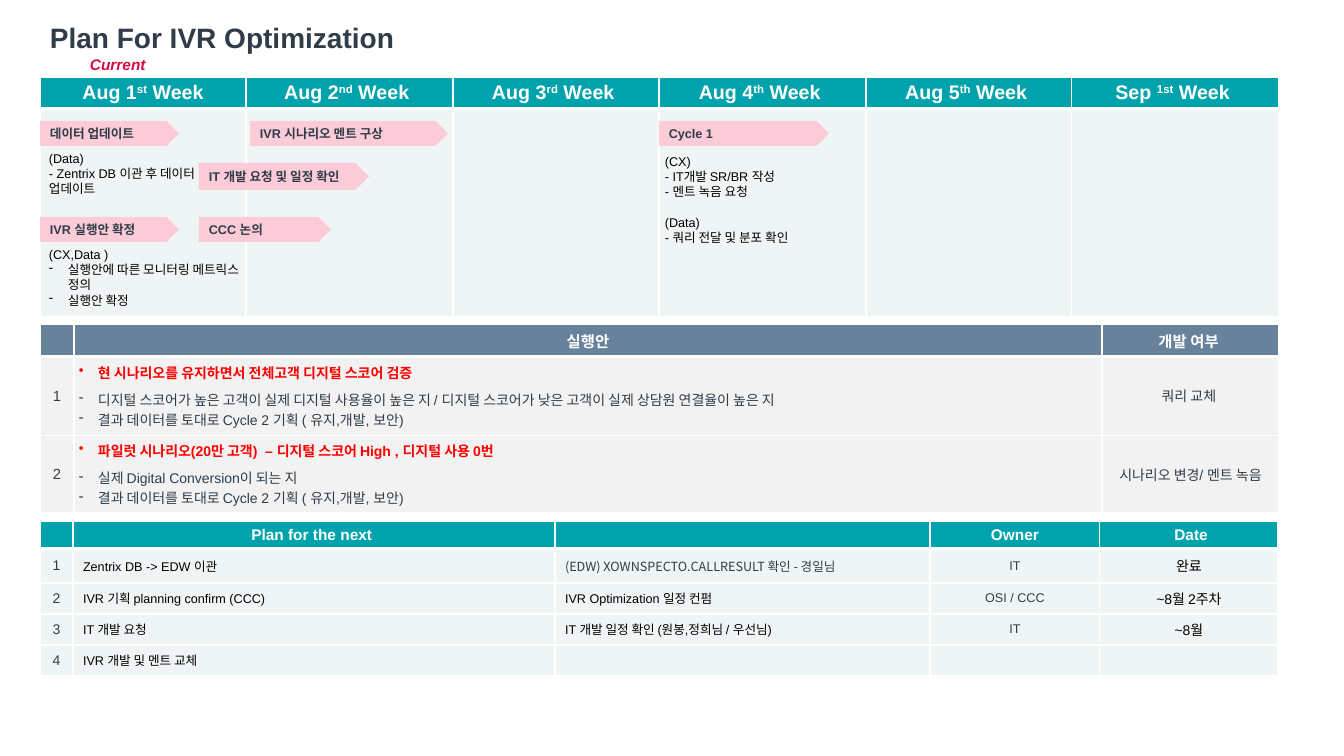
"""Build the IVR optimization plan slide: weekly timeline, action options and next steps."""
import pptx
import pptx.util
import pptx.dml.color
import pptx.enum.shapes
import pptx.enum.text
import pptx.oxml.ns
from lxml import etree

RGB = pptx.dml.color.RGBColor
TEAL = RGB(0x00, 0xA3, 0xAC)
SLATE = RGB(0x67, 0x82, 0x9A)
MIST = RGB(0xEF, 0xF4, 0xF5)
GREY = RGB(0xF2, 0xF2, 0xF2)
PINK = RGB(0xFB, 0xCB, 0xD8)
INK = RGB(0x30, 0x3D, 0x48)
CRIMSON = RGB(0xD3, 0x0C, 0x41)
RED = RGB(0xFF, 0x00, 0x00)
BLACK = RGB(0x00, 0x00, 0x00)
WHITE = RGB(0xFF, 0xFF, 0xFF)
PX = 914400 / 100.8
LEFT, CENTER, JUSTIFY = (pptx.enum.text.PP_ALIGN.LEFT, pptx.enum.text.PP_ALIGN.CENTER,
                         pptx.enum.text.PP_ALIGN.JUSTIFY)
MIDDLE = pptx.enum.text.MSO_ANCHOR.MIDDLE
qn = pptx.oxml.ns.qn


def write(tf, lines, size, color, bold=False, align=LEFT, font="Arial"):
    """Fill a text frame; a line is a string or a (bullet, text) pair."""
    for i, line in enumerate(lines):
        bullet, text = line if isinstance(line, tuple) else (None, line)
        p = tf.paragraphs[0] if i == 0 else tf.add_paragraph()
        p.alignment = align
        p.font.size = pptx.util.Pt(size)
        p.font.name = font
        p.font.bold = bold
        p.font.color.rgb = color
        if text:
            p.add_run().text = text
        if bullet:
            pPr = p._p.get_or_add_pPr()
            pPr.set("marL", str(round(19 * PX)))
            pPr.set("indent", str(round(-19 * PX)))
            bu = etree.Element(qn("a:buChar"), char=bullet)
            pPr.insert(list(pPr).index(pPr.find(qn("a:defRPr"))), bu)


def grid(top, widths, heights, head, body):
    """Add a table with white rules and a thick rule under its header."""
    frame = s.shapes.add_table(len(heights), len(widths), round(40 * PX), round(top * PX),
                               round(sum(widths) * PX), round(sum(heights) * PX))
    table = frame.table
    table.horz_banding = False
    for col, width in zip(table.columns, widths):
        col.width = round(width * PX)
    for i, (row, height) in enumerate(zip(table.rows, heights)):
        row.height = round(height * PX)
        for cell in row.cells:
            tcPr = cell._tc.get_or_add_tcPr()
            for side in "LRTB":
                points = 3 if i == 0 and side == "B" else 1
                ln = etree.SubElement(tcPr, qn("a:ln" + side), w=str(12700 * points))
                fill = etree.SubElement(ln, qn("a:solidFill"))
                etree.SubElement(fill, qn("a:srgbClr"), val=str(WHITE))
            cell.fill.solid()
            cell.fill.fore_color.rgb = body if i else head
            cell.vertical_anchor = MIDDLE
    return table


prs = pptx.Presentation()
prs.slide_width, prs.slide_height = round(1344 * PX), round(756 * PX)
s = prs.slides.add_slide(prs.slide_layouts[6])

weeks = [("Aug 1", "st", " Week"), ("Aug 2", "nd", " Week "), ("Aug 3", "rd", " Week "),
         ("Aug 4", "th", " Week "), ("Aug 5", "th", " Week "), ("Sep ", "1st", " Week ")]
timeline = grid(77, [206, 207] * 3, [31, 207], TEAL, MIST)
for c, (month, ordinal, week) in enumerate(weeks):
    tf = timeline.cell(0, c).text_frame
    write(tf, [month], 14, WHITE, True, CENTER)
    p = tf.paragraphs[0]
    r = p.add_run()
    r.text = ordinal
    r._r.get_or_add_rPr().set("baseline", "30000")
    p.add_run().text = week

options = grid(324, [34, 1028, 177], [31, 79, 74], SLATE, GREY)
write(options.cell(0, 0).text_frame, [""], 11, WHITE, True, CENTER)
write(options.cell(0, 1).text_frame, ["실행안"], 11, WHITE, True, CENTER)
write(options.cell(0, 2).text_frame, ["개발 여부 "], 11, WHITE, True, CENTER)
follow_up = "결과 데이터를 토대로 Cycle 2 기획 ( 유지,개발, 보안)"
option_rows = [
    ("현 시나리오를 유지하면서 전체고객 디지털 스코어 검증",
     "디지털 스코어가 높은 고객이 실제 디지털 사용율이 높은 지 / 디지털 스코어가 낮은 고객이 실제 상담원 연결율이 높은 지",
     "쿼리 교체 "),
    ("파일럿 시나리오(20만 고객)  – 디지털 스코어 High , 디지털 사용 0번",
     "실제 Digital Conversion이 되는 지",
     "시나리오 변경/ 멘트 녹음"),
]
for i, (headline, check, change) in enumerate(option_rows, 1):
    write(options.cell(i, 0).text_frame, [str(i)], 10.5, INK, align=CENTER)
    cell = options.cell(i, 1)
    cell.margin_left = cell.margin_right = round(5 * PX)
    write(cell.text_frame, [("•", headline), ("-", check), ("-", follow_up)], 10, INK)
    p = cell.text_frame.paragraphs[0]
    p.font.bold = True
    p.font.color.rgb = RED
    p.space_after = pptx.util.Pt(5)
    write(options.cell(i, 2).text_frame, [change], 10, INK, align=CENTER)

steps = grid(521, [33, 482, 375, 170, 178], [28, 34, 31, 31, 31], TEAL, MIST)
for c, heading in enumerate(["", "Plan for the next ", "", "Owner", " Date"]):
    write(steps.cell(0, c).text_frame, [heading], 11, WHITE, True, CENTER)
step_rows = [
    ("Zentrix DB -> EDW 이관", "(EDW) XOWNSPECTO.CALLRESULT 확인 - 경일님", "IT", "완료"),
    ("IVR 기획 planning confirm (CCC)", "IVR Optimization 일정 컨펌", "OSI / CCC", "~8월 2주차"),
    ("IT 개발 요청", "IT 개발 일정 확인 (원봉,정희님 / 우선님)", "IT", "~8월"),
    ("IVR 개발 및 멘트 교체", "", "", ""),
]
for i, (task, detail, owner, date) in enumerate(step_rows, 1):
    write(steps.cell(i, 0).text_frame, [str(i)], 10, INK, align=CENTER)
    write(steps.cell(i, 1).text_frame, [task], 9, BLACK)
    if i == 1:
        write(steps.cell(i, 2).text_frame, [detail], 9, INK, align=JUSTIFY, font="Noto Sans CJK KR")
    else:
        write(steps.cell(i, 2).text_frame, [detail], 9, BLACK)
    write(steps.cell(i, 3).text_frame, [owner], 9, INK, align=CENTER)
    write(steps.cell(i, 4).text_frame, [date], 10, BLACK, align=CENTER)

arrows = [
    (40, 121, 139, 25, "데이터 업데이트"),
    (250, 121, 198, 25, "IVR 시나리오 멘트 구상"),
    (659, 121, 170, 25, "Cycle 1"),
    (199, 163, 170, 27, "IT 개발 요청 및 일정 확인"),
    (40, 217, 139, 25, "IVR 실행안 확정"),
    (199, 217, 132, 25, "CCC 논의"),
]
for x, y, w, h, label in arrows:
    sp = s.shapes.add_shape(pptx.enum.shapes.MSO_SHAPE.PENTAGON,
                            round(x * PX), round(y * PX), round(w * PX), round(h * PX))
    sp.shadow.inherit = False
    sp.fill.solid()
    sp.fill.fore_color.rgb = PINK
    sp.line.fill.background()
    sp.text_frame.vertical_anchor = MIDDLE
    write(sp.text_frame, [label], 9, INK, True)

texts = [
    (40, 16, 389, 44, ["Plan For IVR Optimization"], 20, INK, True),
    (80, 50, 77, 29, ["Current"], 11, CRIMSON, True),
    (39, 146, 170, 56, ["(Data)", "- Zentrix DB 이관 후 데이터 업데이트"], 9, BLACK, False),
    (39, 242, 214, 87, ["(CX,Data )", ("-", "실행안에 따른 모니터링 메트릭스 정의"),
                        ("-", "실행안 확정")], 9, BLACK, False),
    (655, 149, 170, 102, ["(CX)", "- IT개발 SR/BR 작성", "- 멘트 녹음 요청", "(Data)",
                          "- 쿼리 전달 및 분포 확인"], 9, BLACK, False),
]
for x, y, w, h, lines, size, color, bold in texts:
    tf = s.shapes.add_textbox(round(x * PX), round(y * PX), round(w * PX), round(h * PX)).text_frame
    tf.word_wrap = lines != ["Current"]
    write(tf, lines, size, color, bold)
    for p in tf.paragraphs:
        if p.text == "Current":
            p.font.italic = True
        if p.text == "(Data)" and len(lines) == 5:
            p.space_before = pptx.util.Pt(11)

prs.save("out.pptx")
